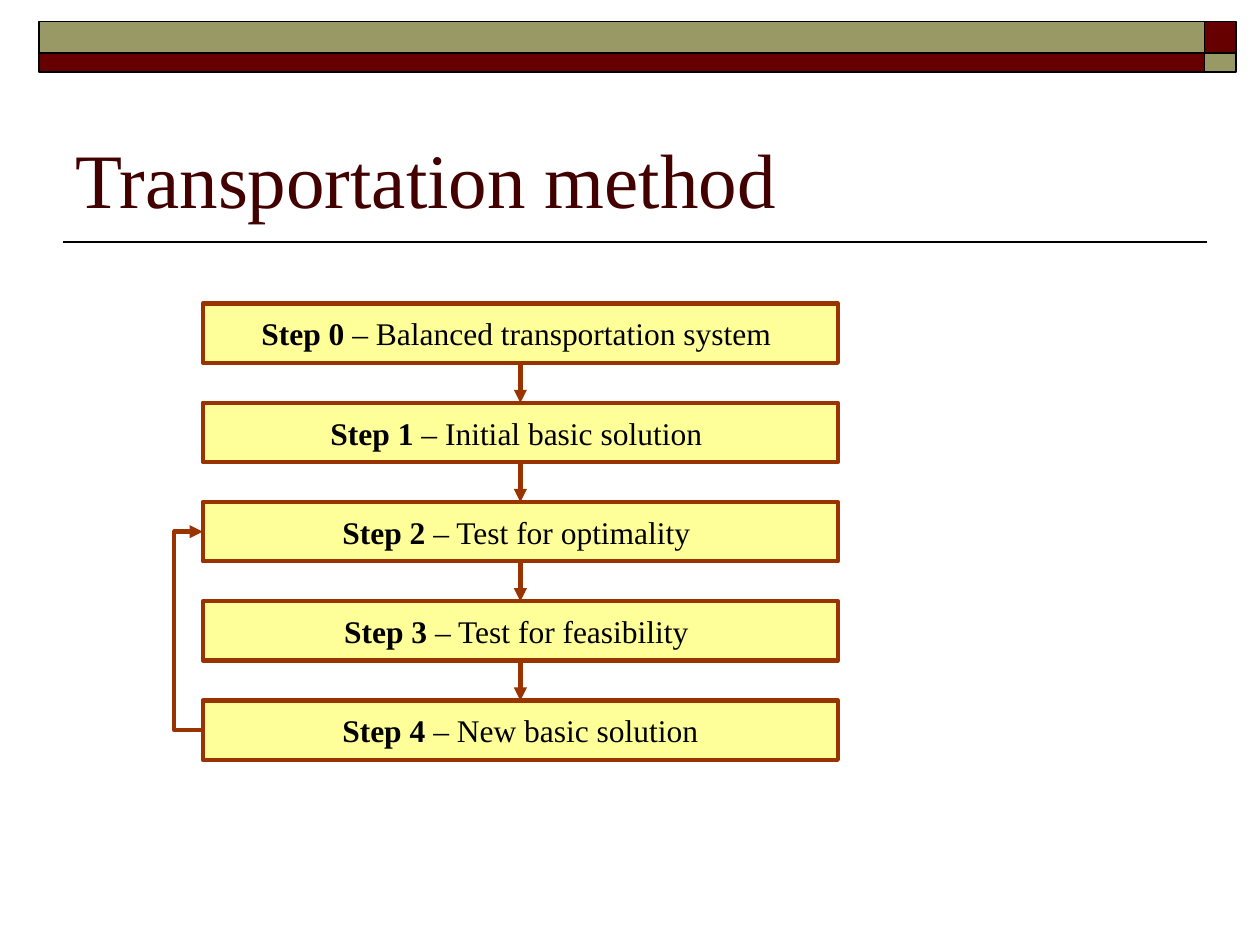
"""Build the transportation method slide: a five-step flow with a feedback loop."""
from lxml import etree
from pptx import Presentation
from pptx import util as u
from pptx.dml.color import RGBColor
from pptx.enum import shapes, text
from pptx.oxml.ns import qn

BLACK, MAROON, OLIVE, RUST, YELLOW = "000000", "660000", "999966", "993300", "FFFF99"


def paint(target, fill=None, line=None, width=1.0):
    if fill:
        target.fill.solid()
        target.fill.fore_color.rgb = RGBColor.from_string(fill)
    if line:
        target.line.color.rgb = RGBColor.from_string(line)
        target.line.width = u.Pt(width)


def connect(kind, start, end, color, width, arrow=False):
    line = page.shapes.add_connector(kind, *(u.Inches(value) for value in start + end))
    paint(line, line=color, width=width)
    if arrow:
        etree.SubElement(line.line._get_or_add_ln(), qn("a:tailEnd"), type="triangle")
    etree.SubElement(line._element.spPr, qn("a:effectLst"))
    return line


deck = Presentation()
deck.slide_width, deck.slide_height = u.Inches(10), u.Inches(7.5)
page = deck.slides.add_slide(deck.slide_layouts[6])
straight = shapes.MSO_CONNECTOR.STRAIGHT

connect(straight, (9.58, 1.92), (0.5, 1.92), BLACK, 1)

for top, height, colors in ((0.17, 0.25, (OLIVE, MAROON)), (0.42, 0.15, (MAROON, OLIVE))):
    for left, width, color in zip((0.31, 9.56), (9.25, 0.25), colors):
        bar = page.shapes.add_shape(
            shapes.MSO_SHAPE.RECTANGLE,
            u.Inches(left), u.Inches(top), u.Inches(width), u.Inches(height))
        bar.shadow.inherit = False
        paint(bar, color, BLACK)

title = page.shapes.add_textbox(u.Inches(0.5), u.Inches(0.58), u.Inches(9), u.Inches(1.25))
title.text_frame.word_wrap = True
title.text_frame.vertical_anchor = text.MSO_ANCHOR.BOTTOM
para = title.text_frame.paragraphs[0]
para.alignment = text.PP_ALIGN.JUSTIFY
span = para.add_run()
span.text = "Transportation method"
title_format = {"name": "Times New Roman", "size": u.Pt(44), "bold": False}
for key, value in title_format.items():
    setattr(span.font, key, value)
span.font.color.rgb = RGBColor.from_string("420000")

steps = (
    " – Balanced transportation system ",
    " – Initial basic solution ",
    " – Test for optimality ",
    " – Test for feasibility ",
    " – New basic solution",
)
left, first_top, width, height, pitch = 1.61, 2.41, 5.04, 0.47, 0.7875
step_format = {"name": "Times New Roman", "size": u.Pt(18)}
boxes = []
for number, label in enumerate(steps):
    box = page.shapes.add_shape(
        shapes.MSO_SHAPE.FLOWCHART_PROCESS,
        u.Inches(left), u.Inches(first_top + number * pitch), u.Inches(width), u.Inches(height))
    box.shadow.inherit = False
    paint(box, YELLOW, RUST, 2.5)
    box.text_frame.word_wrap = False
    box.text_frame.vertical_anchor = text.MSO_ANCHOR.MIDDLE
    para = box.text_frame.paragraphs[0]
    para.alignment = text.PP_ALIGN.CENTER
    for words, bold in ((f"Step {number}", True), (label, False)):
        span = para.add_run()
        span.text = words
        for key, value in {**step_format, "bold": bold}.items():
            setattr(span.font, key, value)
        span.font.color.rgb = RGBColor.from_string(BLACK)
    boxes.append(box)

for upper, lower in zip(boxes, boxes[1:]):
    arrow = connect(straight, (0, 0), (1, 1), RUST, 2.5, arrow=True)
    arrow.begin_connect(upper, 2)
    arrow.end_connect(lower, 0)

loop_start, loop_end = (first_top + height / 2 + step * pitch for step in (4, 2))
loop = connect(shapes.MSO_CONNECTOR.ELBOW, (left + 0.01, loop_start), (left, loop_end),
               RUST, 2.5, arrow=True)
guides = loop._element.spPr.find(qn("a:prstGeom")).get_or_add_avLst()
etree.SubElement(guides, qn("a:gd"), name="adj1", fmla="val 2400000")

deck.save("out.pptx")
